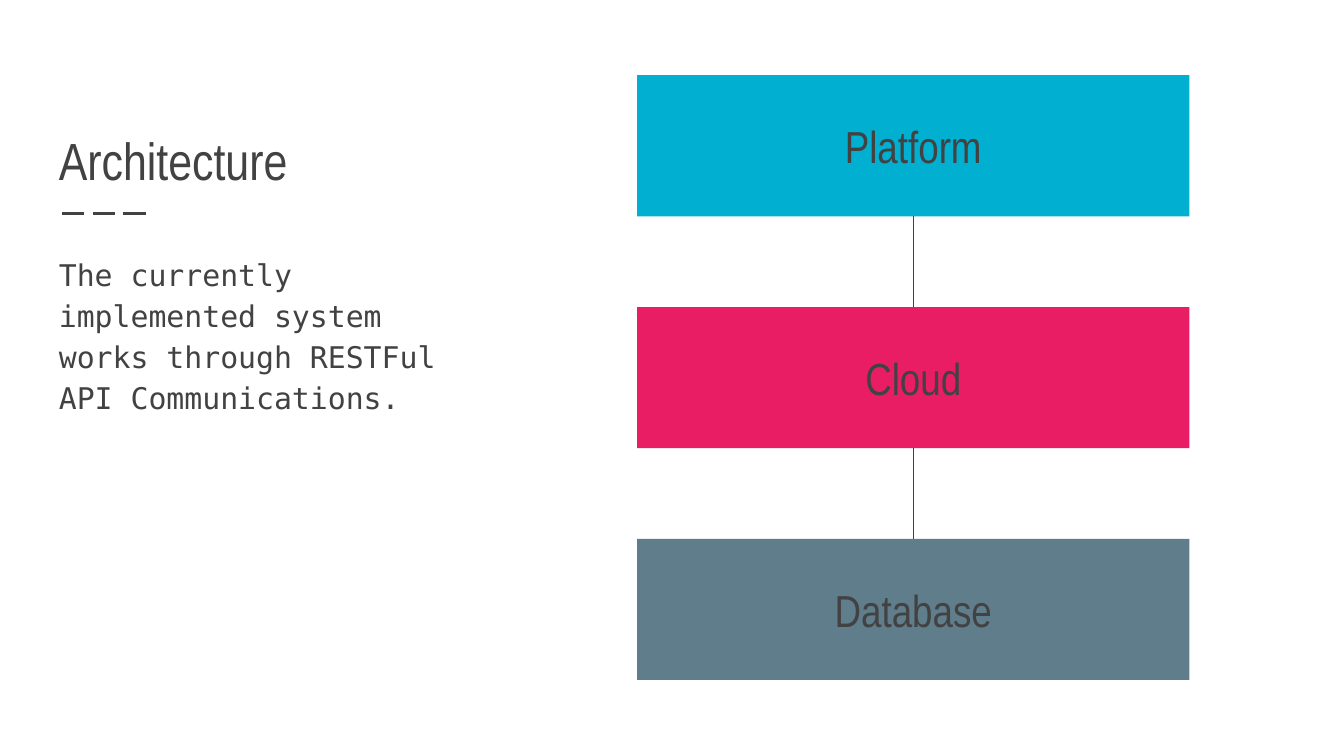
"""Build the Architecture slide: a text column beside three linked layers."""
from dataclasses import dataclass

import pptx
import pptx.dml.color
import pptx.enum.dml
import pptx.enum.shapes
import pptx.enum.text
import pptx.oxml.ns
import pptx.util
from lxml import etree

Inches = pptx.util.Inches
Anchor = pptx.enum.text.MSO_ANCHOR
Align = pptx.enum.text.PP_ALIGN

PAGE_WIDTH = 10
PAGE_HEIGHT = PAGE_WIDTH * 9 / 16
INK = "424242"
HEADING_FONT = "Arial Narrow"
BODY_FONT = "DejaVu Sans Mono"
TEXT_LEFT, TEXT_WIDTH = 0.34, 3.07
LAYER_LEFT, LAYER_WIDTH, LAYER_HEIGHT = 4.74, 4.11, 1.05
FIRST_TOP, LAST_TOP = 0.56, 4.01


@dataclass
class Layer:
    label: str
    fill: str


@dataclass
class TextStyle:
    font: str
    size: float
    anchor: Anchor
    align: Align = Align.LEFT


LAYERS = [
    Layer("Platform", "01AFD1"),
    Layer("Cloud", "E91D63"),
    Layer("Database", "607D8B"),
]
LAYER_PITCH = (LAST_TOP - FIRST_TOP) / (len(LAYERS) - 1)
TITLE_STYLE = TextStyle(HEADING_FONT, 28, Anchor.BOTTOM)
BODY_STYLE = TextStyle(BODY_FONT, 16, Anchor.TOP)
LAYER_STYLE = TextStyle(HEADING_FONT, 24, Anchor.MIDDLE, Align.CENTER)


def color(value: str) -> pptx.dml.color.RGBColor:
    return pptx.dml.color.RGBColor.from_string(value)


def write(box, text: str, style: TextStyle):
    frame = box.text_frame
    frame.text = text
    frame.word_wrap = True
    frame.auto_size = pptx.enum.text.MSO_AUTO_SIZE.NONE
    frame.vertical_anchor = style.anchor
    frame.margin_left = frame.margin_right = Inches(0.1)
    frame.margin_top = frame.margin_bottom = Inches(0.1)
    para = frame.paragraphs[0]
    para.alignment = style.align
    for span in para.runs:
        span.font.name = style.font
        span.font.size = pptx.util.Pt(style.size)
        span.font.color.rgb = color(INK)
    return para


def add_text(page, top: float, height: float, text: str, style: TextStyle):
    box = page.shapes.add_textbox(
        Inches(TEXT_LEFT), Inches(top), Inches(TEXT_WIDTH), Inches(height))
    return write(box, text, style)


def add_line(page, start: tuple[float, float], end: tuple[float, float], width: float):
    line = page.shapes.add_connector(
        pptx.enum.shapes.MSO_CONNECTOR.STRAIGHT, *map(Inches, start + end))
    line.line.color.rgb = color(INK)
    line.line.width = pptx.util.Pt(width)
    etree.SubElement(line._element.spPr, pptx.oxml.ns.qn("a:effectLst"))
    return line


def add_layer(page, layer: Layer, top: float):
    box = page.shapes.add_shape(
        pptx.enum.shapes.MSO_SHAPE.RECTANGLE,
        Inches(LAYER_LEFT), Inches(top), Inches(LAYER_WIDTH), Inches(LAYER_HEIGHT))
    box.shadow.inherit = False
    box.fill.solid()
    box.fill.fore_color.rgb = color(layer.fill)
    box.line.fill.background()
    write(box, layer.label, LAYER_STYLE)
    return box


def link(page, upper, lower) -> None:
    line = add_line(page, (0, 0), (1, 1), 0.75)
    line.begin_connect(upper, 2)
    line.end_connect(lower, 0)


def main() -> None:
    deck = pptx.Presentation()
    deck.slide_width, deck.slide_height = Inches(PAGE_WIDTH), Inches(PAGE_HEIGHT)
    page = deck.slides.add_slide(deck.slide_layouts[6])

    divider = add_line(page, (0.46, 1.59), (1.13, 1.59), 1.5)
    divider.line.dash_style = pptx.enum.dml.MSO_LINE.LONG_DASH
    add_text(page, 0.69, 0.83, "Architecture", TITLE_STYLE)
    body = add_text(
        page, 1.77, 3.23,
        "The currently implemented system works through RESTFul API Communications.",
        BODY_STYLE)
    body.line_spacing = 1.15
    body.space_after = pptx.util.Pt(16)

    boxes = [add_layer(page, layer, FIRST_TOP + index * LAYER_PITCH)
             for index, layer in enumerate(LAYERS)]
    for upper, lower in zip(boxes, boxes[1:]):
        link(page, upper, lower)

    deck.save("out.pptx")


if __name__ == "__main__":
    main()
